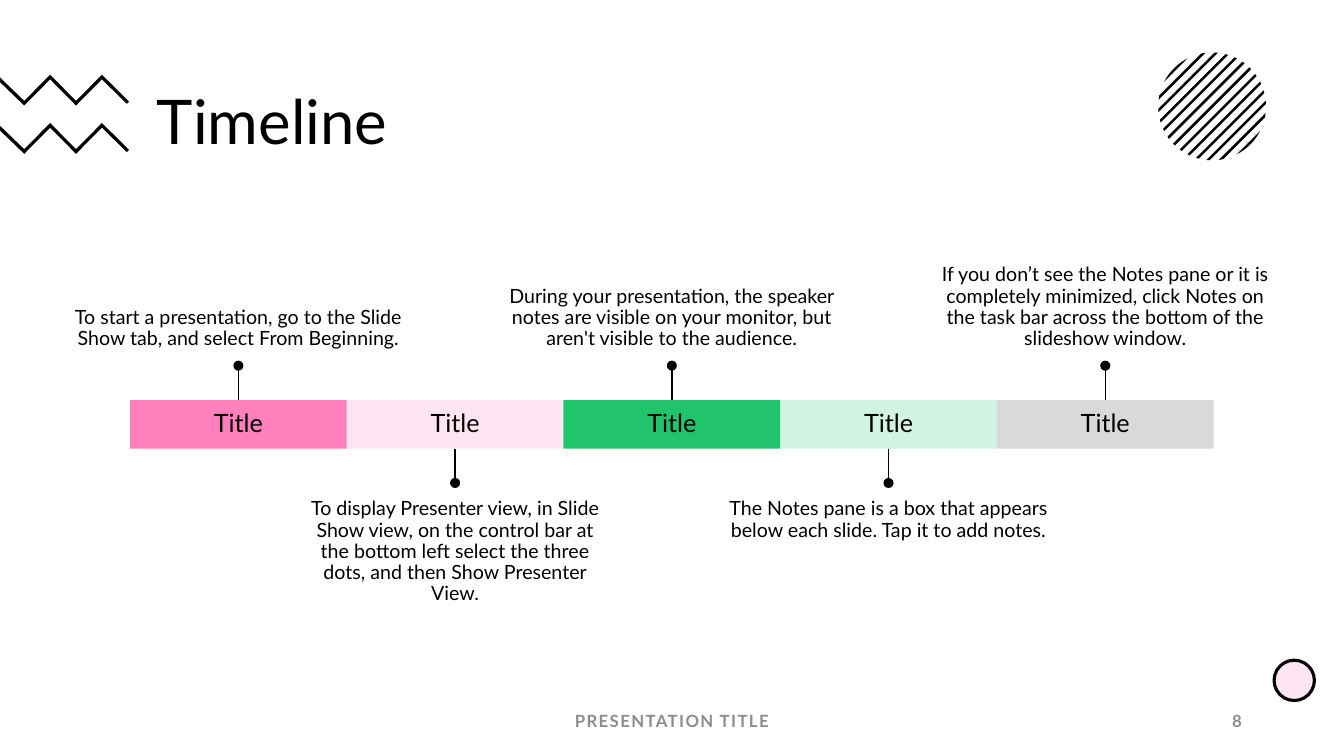
from dataclasses import dataclass
from math import acos, cos, pi, sin
from typing import NamedTuple

from lxml.etree import SubElement
from pptx import Presentation
from pptx.dml.color import RGBColor
from pptx.enum.shapes import MSO_CONNECTOR as Connector, MSO_SHAPE as Preset
from pptx.enum.text import MSO_ANCHOR as Anchor, PP_ALIGN as Align
from pptx.oxml.ns import qn
from pptx.util import Pt


@dataclass(frozen=True)
class Theme:
    font: str = "Lato"
    black: str = "000000"
    muted: str = "8C8C8C"
    pink: str = "FF80BD"
    green: str = "21C46B"
    grey: str = "D9D9D9"
    tint: int = 20
    title_size: float = 44
    stage_size: float = 18
    caption_size: float = 14
    footer_size: float = 12


THEME = Theme()


class Box(NamedTuple):
    left: float
    top: float
    width: float
    height: float

    def lengths(self):
        return [Pt(value) for value in self]


class Stage(NamedTuple):
    color: str
    opacity: int
    caption: str
    caption_width: float = 257.8


STAGES = [
    Stage(THEME.pink, 100,
          "To start a presentation, go to the Slide Show tab, and select From Beginning."),
    Stage(THEME.pink, THEME.tint,
          "To display Presenter view, in Slide Show view, on the control bar at the bottom left "
          "select the three dots, and then Show Presenter View.", 222.5),
    Stage(THEME.green, 100,
          "During your presentation, the speaker notes are visible on your monitor, "
          "but aren't visible to the audience."),
    Stage(THEME.green, THEME.tint,
          "The Notes pane is a box that appears below each slide. Tap it to add notes."),
    Stage(THEME.grey, 100,
          "If you don’t see the Notes pane or it is completely minimized, click Notes on "
          "the task bar across the bottom of the slideshow window."),
]


def paint(shape, color, opacity=100):
    """Give a flat fill with no outline and no shadow."""
    shape.shadow.inherit = False
    shape.fill.solid()
    shape.fill.fore_color.rgb = RGBColor.from_string(color)
    shape.line.fill.background()
    if opacity < 100:
        color_element = shape.fill._xPr.find(qn("a:solidFill"))[0]
        SubElement(color_element, qn("a:alpha"), val=str(opacity * 1000))


def write(shape, text, size, align=Align.CENTER, anchor=Anchor.MIDDLE, color=THEME.black,
          bold=False, line_spacing=0.9, insets=(7.2, 3.6), tracking=0):
    frame = shape.text_frame
    frame.text = text
    frame.word_wrap = True
    frame.vertical_anchor = anchor
    frame.margin_left = frame.margin_right = Pt(insets[0])
    frame.margin_top = frame.margin_bottom = Pt(insets[1])
    paragraph = frame.paragraphs[0]
    paragraph.alignment = align
    paragraph.line_spacing = line_spacing
    run = paragraph.runs[0]
    run.font.name = THEME.font
    run.font.size = Pt(size)
    run.font.bold = bold
    run.font.color.rgb = RGBColor.from_string(color)
    if tracking:
        run.font._element.set("spc", str(tracking * 100))


def add_polygon(shapes, points):
    corners = [(Pt(x), Pt(y)) for x, y in points]
    builder = shapes.build_freeform(*corners[0])
    builder.add_line_segments(corners[1:], close=True)
    paint(builder.convert_to_shape(), THEME.black)


def add_striped_circle(slide, box):
    """Fill a circle with diagonal stripes whose ends follow its edge."""
    shapes = slide.shapes.add_group_shape().shapes
    radius, pitch, half_stripe, steps = box.width / 2, 6.26, 0.9, 4
    center_x, center_y = box.left + radius, box.top + radius
    for index in range(-6, 7):
        near, far = [acos((index * pitch + side * half_stripe) / radius) for side in (-1, 1)]
        side_arc = [near + (far - near) * step / steps for step in range(steps + 1)]
        angles = side_arc + [-angle for angle in reversed(side_arc)]
        add_polygon(shapes, [(center_x + radius * cos(angle + pi / 4),
                              center_y + radius * sin(angle + pi / 4)) for angle in angles])


def add_zigzags(slide, box):
    """Draw two zigzag ribbons that run in from the left edge."""
    shapes = slide.shapes.add_group_shape().shapes
    thickness, row_gap, step = 3.3, 34.5, 18.5
    heights = [2, 18.7, 0, 18.7, 0]
    for row in range(2):
        top = box.top + row * row_gap
        upper = [(box.left + max(0, index * step - 1.2), top + height)
                 for index, height in enumerate(heights)]
        lower = [(x, y + thickness) for x, y in reversed(upper)]
        right = box.left + box.width
        tip = [(right, top + 19.2), (right - 1.6, top + 20.8)]
        add_polygon(shapes, upper + tip + lower)


def add_corner_ring(slide, box):
    ring = slide.shapes.add_shape(Preset.OVAL, *box.lengths())
    paint(ring, THEME.pink, THEME.tint)
    ring.line.color.rgb = RGBColor.from_string(THEME.black)
    ring.line.width = Pt(2.25)


def add_title(slide, box):
    write(slide.shapes.add_textbox(*box.lengths()), "Timeline", THEME.title_size, Align.LEFT)


def add_footer(slide, box):
    number_width = 216
    number_box = box._replace(left=box.left + box.width - number_width, width=number_width)
    name_box = box._replace(width=324)
    for part, text, align in ((name_box, "PRESENTATION TITLE", Align.CENTER),
                              (number_box, "8", Align.RIGHT)):
        write(slide.shapes.add_textbox(*part.lengths()), text, THEME.footer_size, align,
              color=THEME.muted, bold=True, line_spacing=1, tracking=1)


def add_callout(shapes, stage, center, edge, direction):
    """Place stem, dot and caption; direction is -1 above the bar and 1 below it."""
    stem_length, dot_distance, dot_size = 27.4, 24.6, 7.2
    caption_gap, caption_height = 33.8, 120.2

    stem = shapes.add_connector(Connector.STRAIGHT, Pt(center), Pt(edge),
                                Pt(center), Pt(edge + direction * stem_length))
    stem.line.color.rgb = RGBColor.from_string(THEME.black)
    stem.line.width = Pt(1)
    SubElement(stem._element.spPr, qn("a:effectLst"))

    dot_box = Box(center - dot_size / 2, edge + direction * dot_distance - dot_size / 2,
                  dot_size, dot_size)
    paint(shapes.add_shape(Preset.OVAL, *dot_box.lengths()), THEME.black)

    above = direction < 0
    caption_top = edge - caption_gap - caption_height if above else edge + caption_gap
    caption_box = Box(center - stage.caption_width / 2, caption_top,
                      stage.caption_width, caption_height)
    write(shapes.add_textbox(*caption_box.lengths()), stage.caption, THEME.caption_size,
          anchor=Anchor.BOTTOM if above else Anchor.TOP, insets=(4.3, 2.2))


def add_timeline(slide, box):
    """Split the bar box evenly into stages, with callouts above and below in turn."""
    shapes = slide.shapes.add_group_shape().shapes
    width = box.width / len(STAGES)
    for index, stage in enumerate(STAGES):
        bar_box = box._replace(left=box.left + index * width, width=width)
        bar = shapes.add_shape(Preset.RECTANGLE, *bar_box.lengths())
        paint(bar, stage.color, stage.opacity)
        write(bar, "Title", THEME.stage_size, insets=(2.9, 0))
        direction = 1 if index % 2 else -1
        edge = box.top + box.height if direction > 0 else box.top
        add_callout(shapes, stage, bar_box.left + width / 2, edge, direction)


def main():
    presentation = Presentation()
    presentation.slide_width, presentation.slide_height = Pt(960), Pt(540)
    slide = presentation.slides.add_slide(presentation.slide_layouts[6])
    add_striped_circle(slide, Box(827.3, 37.5, 77, 77))
    add_zigzags(slide, Box(0, 53.4, 92.2, 56))
    add_corner_ring(slide, Box(910.1, 471.6, 28.8, 28.8))
    add_title(slide, Box(105, 44.6, 767.5, 88.6))
    add_footer(slide, Box(318, 500.4, 576.2, 28.8))
    add_timeline(slide, Box(92.9, 285.8, 774, 34.6))
    presentation.save("out.pptx")


if __name__ == "__main__":
    main()
